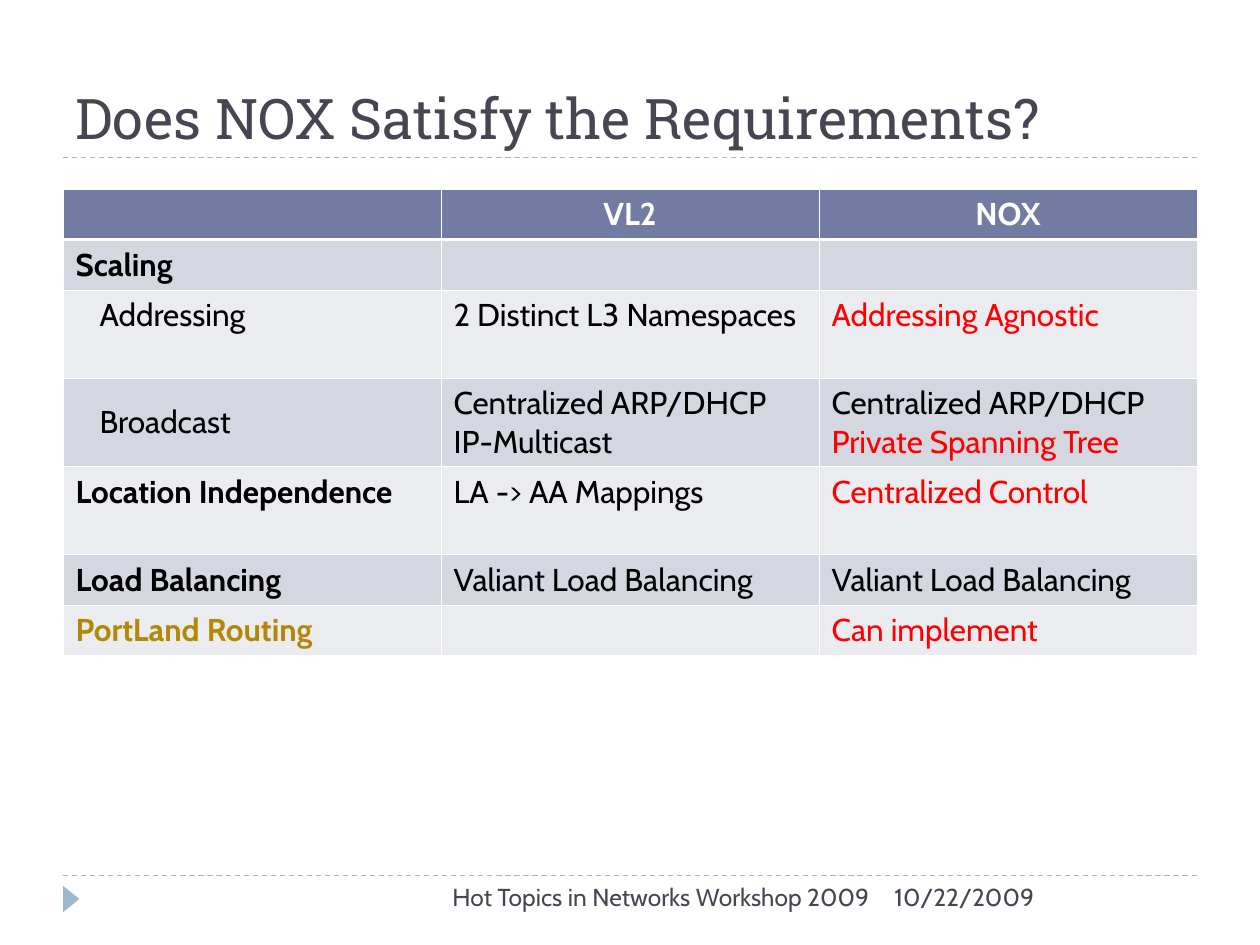
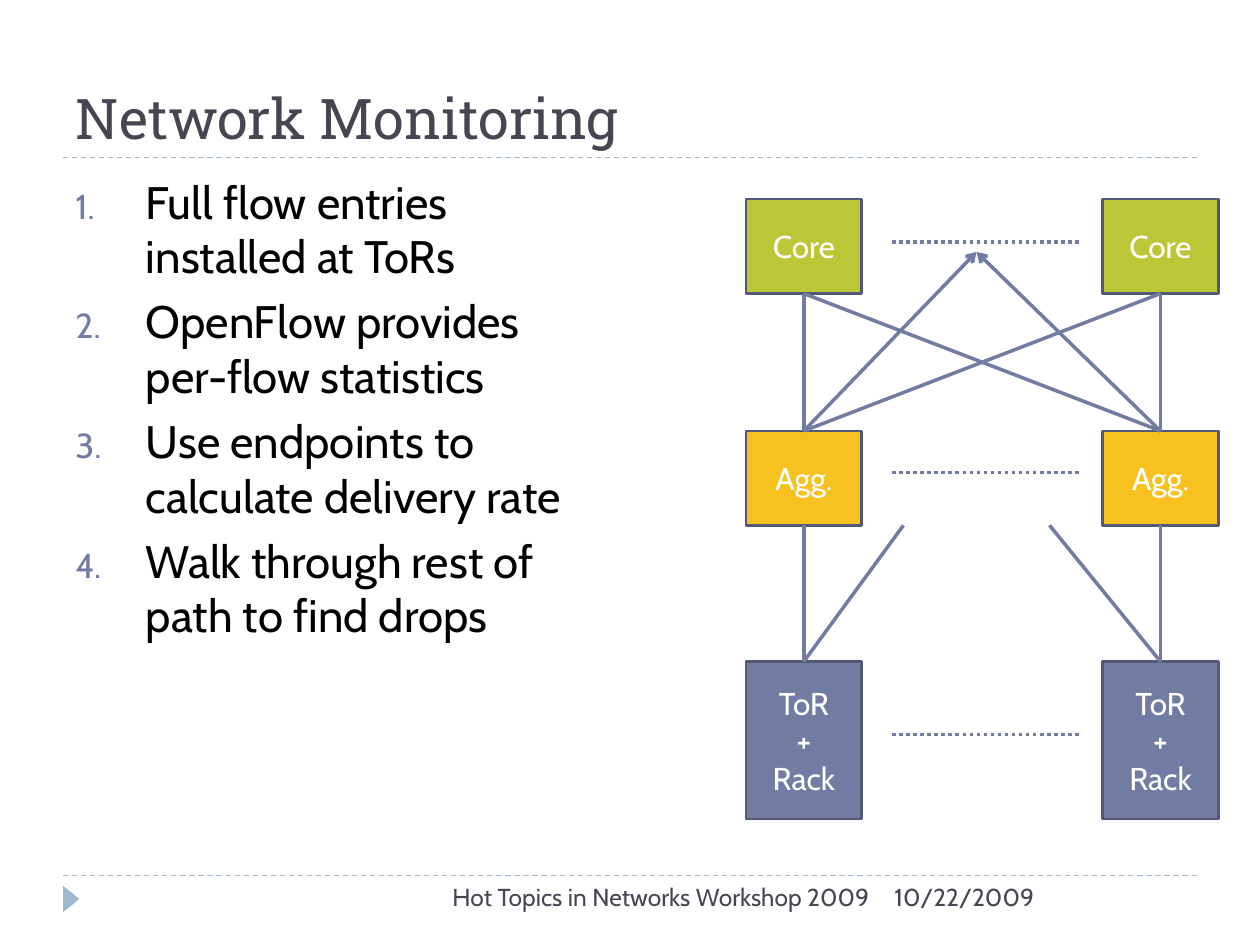
from lxml import etree
from pptx import Presentation
from pptx.dml.color import RGBColor
from pptx.enum.dml import MSO_LINE
from pptx.enum.shapes import MSO_CONNECTOR, MSO_SHAPE
from pptx.enum.text import MSO_ANCHOR, MSO_AUTO_SIZE, PP_ALIGN
from pptx.oxml.ns import qn
from pptx.util import Inches, Pt

INK = RGBColor(0x46, 0x46, 0x53)
BLACK = RGBColor(0x00, 0x00, 0x00)
WHITE = RGBColor(0xFF, 0xFF, 0xFF)
RED = RGBColor(0xFF, 0x00, 0x00)
GOLD = RGBColor(0xB3, 0x88, 0x07)
SLATE = RGBColor(0x72, 0x7C, 0xA3)
SLATE_DARK = RGBColor(0x52, 0x59, 0x77)
SKY = RGBColor(0x9F, 0xB8, 0xCD)
GREEN = RGBColor(0xBB, 0xC7, 0x37)
AMBER = RGBColor(0xF7, 0xC1, 0x20)
BAND_DARK = RGBColor(0xD5, 0xD7, 0xE0)
BAND_LIGHT = RGBColor(0xEB, 0xEC, 0xF0)
TITLE_FONT = "Roboto Slab"
BODY_FONT = "Cabin"
TOP, BOTTOM = 0, 2


class Deck:
    """Holds the shared style and the slide being built."""

    def __init__(self):
        self.presentation = Presentation()
        self.presentation.slide_width = Inches(10)
        self.presentation.slide_height = Inches(7.5)
        self.slide = None

    def new_slide(self, title):
        self.slide = self.presentation.slides.add_slide(self.presentation.slide_layouts[5])
        for y in (6.95, 1.25):
            self.line((0.5, y), (9.5, y), SKY, 0.75, MSO_LINE.DASH)
        marker = self.shape(MSO_SHAPE.ISOSCELES_TRIANGLE, (0.46, 7.07, 0.21, 0.13), SKY)
        marker.rotation = 90
        self.title(title)
        self.text_box((7, 6.95, 2.5, 0.4), ["10/22/2009"], 14, INK)
        self.text_box((3.17, 6.95, 3.83, 0.4), ["Hot Topics in Networks Workshop 2009"],
                      14, INK, PP_ALIGN.RIGHT)

    def title(self, text):
        shape = self.slide.shapes.title
        shape.left, shape.top, shape.width, shape.height = map(Inches, (0.5, 0.25, 9, 1))
        frame = shape.text_frame
        frame.auto_size = MSO_AUTO_SIZE.NONE
        frame.vertical_anchor = MSO_ANCHOR.BOTTOM
        paragraph = frame.paragraphs[0]
        paragraph.alignment = PP_ALIGN.LEFT
        self.run(paragraph, text, 32, INK, font=TITLE_FONT)

    def run(self, paragraph, text, size, color, bold=False, font=BODY_FONT):
        run = paragraph.add_run()
        run.text = text
        run.font.name = font
        run.font.size = Pt(size)
        run.font.bold = bold
        run.font.color.rgb = color

    def paragraphs(self, frame, lines, size, color, alignment=PP_ALIGN.LEFT):
        for index, text in enumerate(lines):
            paragraph = frame.add_paragraph() if index else frame.paragraphs[0]
            paragraph.alignment = alignment
            self.run(paragraph, text, size, color)

    def text_box(self, box, lines, size, color, alignment=PP_ALIGN.LEFT):
        frame = self.slide.shapes.add_textbox(*map(Inches, box)).text_frame
        frame.word_wrap = True
        self.paragraphs(frame, lines, size, color, alignment)
        return frame

    def numbered_list(self, box, lines):
        frame = self.text_box(box, lines, 26, BLACK)
        for index, paragraph in enumerate(frame.paragraphs):
            properties = paragraph._p.get_or_add_pPr()
            properties.set("marL", str(Inches(0.56)))
            properties.set("indent", str(-Inches(0.56)))
            color = etree.SubElement(properties, qn("a:buClr"))
            etree.SubElement(color, qn("a:srgbClr"), val=str(SLATE))
            etree.SubElement(properties, qn("a:buSzPct"), val="76000")
            etree.SubElement(properties, qn("a:buAutoNum"), type="arabicPeriod")
            if index:
                paragraph.space_before = Pt(6)

    def shape(self, kind, box, fill):
        shape = self.slide.shapes.add_shape(kind, *map(Inches, box))
        shape.shadow.inherit = False
        shape.fill.solid()
        shape.fill.fore_color.rgb = fill
        shape.line.fill.background()
        return shape

    def node(self, box, fill, lines):
        shape = self.shape(MSO_SHAPE.RECTANGLE, box, fill)
        shape.line.color.rgb = SLATE_DARK
        shape.line.width = Pt(1.5)
        shape.text_frame.word_wrap = True
        shape.text_frame.vertical_anchor = MSO_ANCHOR.MIDDLE
        self.paragraphs(shape.text_frame, lines, 18, WHITE, PP_ALIGN.CENTER)
        return shape

    def line(self, start, end, color=SLATE, width=2, dash=None, arrow=False):
        connector = self.slide.shapes.add_connector(
            MSO_CONNECTOR.STRAIGHT, *map(Inches, start + end))
        connector.line.color.rgb = color
        connector.line.width = Pt(width)
        if dash:
            connector.line.dash_style = dash
        if arrow:
            etree.SubElement(connector.line._get_or_add_ln(), qn("a:tailEnd"), type="arrow")
        etree.SubElement(connector._element.spPr, qn("a:effectLst"))
        return connector

    def link(self, lower, upper):
        connector = self.line((0, 0), (1, 1))
        connector.begin_connect(lower, TOP)
        connector.end_connect(upper, BOTTOM)

    def spoke(self, node, end, arrow=False):
        connector = self.line((0, 0), end, arrow=arrow)
        connector.begin_connect(node, TOP)

    def borders(self, cell, **widths):
        properties = cell._tc.get_or_add_tcPr()
        for index, side in enumerate("LRTB"):
            width = Pt(widths.get(side, 0.45))
            border = etree.Element(qn(f"a:ln{side}"), w=str(width))
            fill = etree.SubElement(border, qn("a:solidFill"))
            etree.SubElement(fill, qn("a:srgbClr"), val=str(WHITE))
            properties.insert(index, border)

    def cell(self, cell, lines, fill, alignment, **widths):
        cell.fill.solid()
        cell.fill.fore_color.rgb = fill
        self.borders(cell, **widths)
        for index, (text, color, bold) in enumerate(lines):
            frame = cell.text_frame
            paragraph = frame.add_paragraph() if index else frame.paragraphs[0]
            paragraph.alignment = alignment
            self.run(paragraph, text, 18, color, bold)

    def table(self, box, heights, rows):
        table = self.slide.shapes.add_table(len(rows), len(rows[0]), *map(Inches, box)).table
        for row, height in zip(table.rows, heights):
            row.height = Inches(height)
        for r, row in enumerate(rows):
            fill = SLATE if r == 0 else BAND_DARK if r % 2 else BAND_LIGHT
            alignment = PP_ALIGN.LEFT if r else PP_ALIGN.CENTER
            widths = {0: {"B": 1.47}, 1: {"T": 1.47}}.get(r, {})
            for c, lines in enumerate(row):
                self.cell(table.cell(r, c), lines, fill, alignment, **widths)
        return table


def plain(text):
    return text, BLACK, False


def strong(text, color=BLACK):
    return text, color, True


def red(text):
    return text, RED, False


def requirements_slide(deck):
    deck.new_slide("Does NOX Satisfy the Requirements?")
    rows = [
        [[], [strong("VL2", WHITE)], [strong("NOX", WHITE)]],
        [[strong("Scaling")], [], []],
        [[plain("Addressing")], [plain("2 Distinct L3 Namespaces")], [red("Addressing Agnostic")]],
        [[plain("Broadcast")],
         [plain("Centralized ARP/DHCP"), plain("IP-Multicast")],
         [plain("Centralized ARP/DHCP"), red("Private Spanning Tree")]],
        [[strong("Location Independence")], [plain("LA -> AA Mappings")],
         [red("Centralized Control")]],
        [[strong("Load Balancing")], [plain("Valiant Load Balancing")],
         [plain("Valiant Load Balancing")]],
        [[strong("PortLand Routing", GOLD)], [], [red("Can implement")]],
    ]
    table = deck.table((0.5, 1.5, 9, 3.7), (0.4, 0.4, 0.7, 0.7, 0.7, 0.4, 0.4), rows)
    for r in (2, 3):
        paragraph = table.cell(r, 0).text_frame.paragraphs[0]
        paragraph.level = 1
        properties = paragraph._p.get_or_add_pPr()
        properties.set("marL", str(Inches(0.19)))
        properties.set("indent", "0")
    table.cell(3, 0).vertical_anchor = MSO_ANCHOR.MIDDLE


def monitoring_slide(deck):
    deck.new_slide("Network Monitoring")
    deck.numbered_list((0.5, 1.33, 4.42, 5.4), [
        "Full flow entries installed at ToRs",
        "OpenFlow provides per-flow statistics",
        "Use endpoints to calculate delivery rate",
        "Walk through rest of path to find drops",
    ])
    tiers = [
        (5.25, 1.25, SLATE, ["ToR", "+", "Rack"]),
        (3.42, 0.75, AMBER, ["Agg."]),
        (1.58, 0.75, GREEN, ["Core"]),
    ]
    racks, aggregates, cores = [
        [deck.node((x, y, 0.92, height), fill, lines) for x in (5.92, 8.75)]
        for y, height, fill, lines in tiers
    ]
    for y in (1.92, 3.75, 5.83):
        deck.line((7.08, y), (8.58, y), dash=MSO_LINE.ROUND_DOT)
    for aggregate in aggregates:
        for core in cores:
            deck.link(aggregate, core)
        deck.spoke(aggregate, (7.75, 2), arrow=True)
    for rack, aggregate, x in zip(racks, aggregates, (7.17, 8.33)):
        deck.link(rack, aggregate)
        deck.spoke(rack, (x, 4.17))


def main():
    deck = Deck()
    requirements_slide(deck)
    monitoring_slide(deck)
    deck.presentation.save("out.pptx")


if __name__ == "__main__":
    main()
